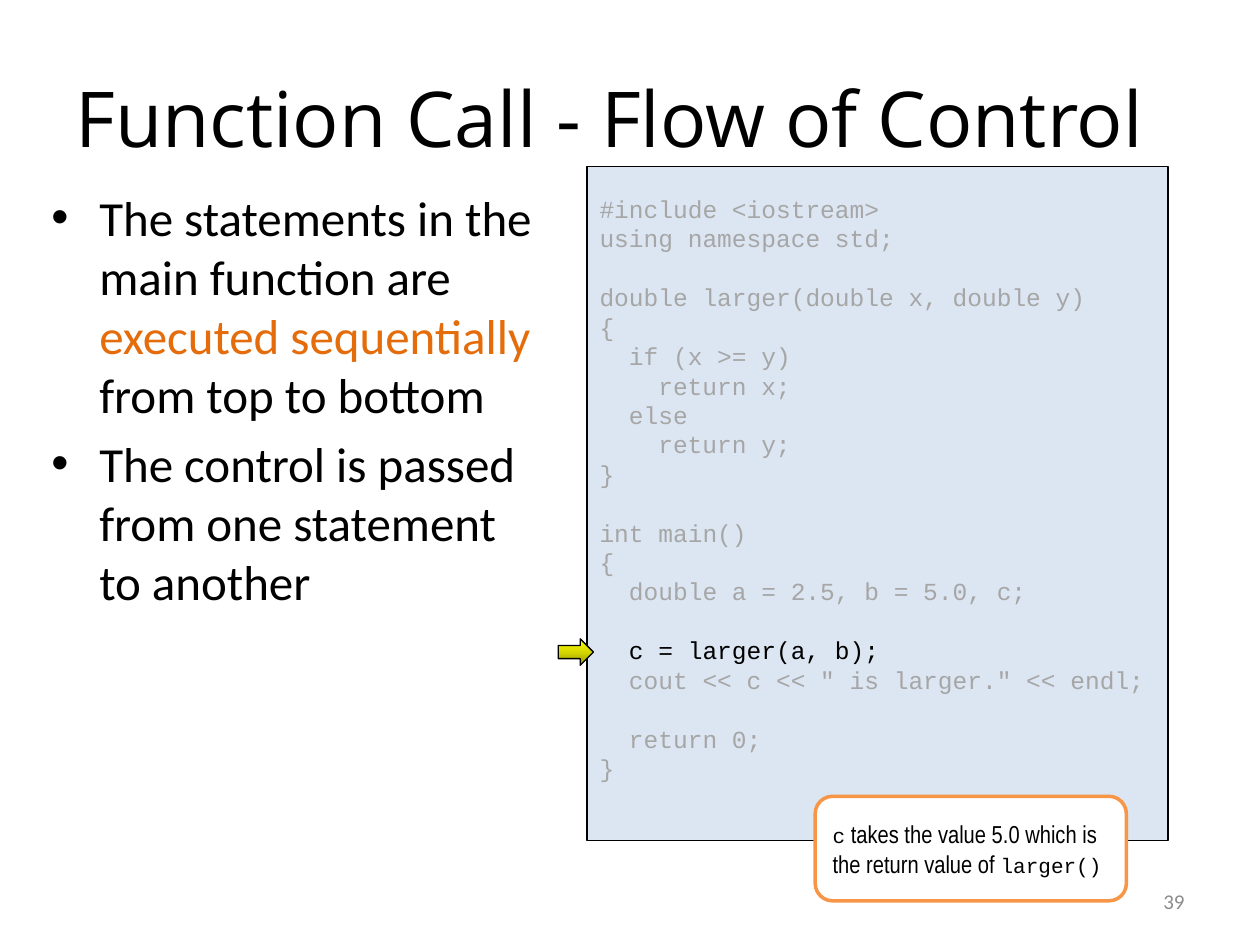
from lxml import etree
from pptx import Presentation, util as u
from pptx.dml.color import RGBColor
from pptx.enum import shapes, text
from pptx.oxml import ns

BLACK = RGBColor(0x00, 0x00, 0x00)
WHITE = RGBColor(0xFF, 0xFF, 0xFF)
GRAY = RGBColor(0xA6, 0xA6, 0xA6)
NUMBER_GRAY = RGBColor(0x8C, 0x8C, 0x8C)
ORANGE = RGBColor(0xE4, 0x6C, 0x0A)
CALLOUT_ORANGE = RGBColor(0xF7, 0x96, 0x46)
PALE_BLUE = RGBColor(0xDC, 0xE6, 0xF2)
OLIVE = RGBColor(0x97, 0x97, 0x00)
MUSTARD = RGBColor(0xD7, 0xD7, 0x00)
YELLOW = RGBColor(0xFF, 0xFF, 0x00)

COLS, ROWS = 100, 75
MIDDLE = text.MSO_ANCHOR.MIDDLE
LEFT, RIGHT = text.PP_ALIGN.LEFT, text.PP_ALIGN.RIGHT

TITLE = dict(name="Open Sans", size=u.Pt(44), color=BLACK)
BODY = dict(name="Calibri", size=u.Pt(28), color=BLACK)
ACCENT = dict(BODY, color=ORANGE)
NUMBER = dict(name="Calibri", size=u.Pt(12), color=NUMBER_GRAY)
CODE = dict(name="Courier New", size=u.Pt(14), color=GRAY)
CURRENT = dict(CODE, color=BLACK)
NOTE = dict(name="Arial Narrow", size=u.Pt(14), color=BLACK)
NOTE_CODE = dict(CURRENT, size=u.Pt(12))

CODE_LINE = u.Pt(16.8)
CODE_CHAR = u.Pt(8.4)

CURRENT_LINE = "c = larger(a, b);"
SOURCE = """#include <iostream>
using namespace std;

double larger(double x, double y)
{
  if (x >= y)
    return x;
  else
    return y;
}

int main()
{
  double a = 2.5, b = 5.0, c;

  c = larger(a, b);
  cout << c << " is larger." << endl;

  return 0;
}"""


def set_all(target, values):
    for key, value in values.items():
        setattr(target, key, value)


class Deck:
    def __init__(self):
        self.prs = Presentation()
        self.prs.slide_width, self.prs.slide_height = u.Inches(10), u.Inches(7.5)
        self.s = self.prs.slides.add_slide(self.prs.slide_layouts[6])

    def box(self, x, y, w, h):
        col, row = self.prs.slide_width / COLS, self.prs.slide_height / ROWS
        return [round(v) for v in (x * col, y * row, w * col, h * row)]

    def text_box(self, at, paragraphs, **frame):
        sp = self.s.shapes.add_textbox(*self.box(*at))
        self.fill_text(sp, paragraphs, **frame)
        return sp

    def shape(self, kind, at, fill, line, width):
        sp = self.s.shapes.add_shape(kind, *self.box(*at))
        sp.shadow.inherit = False
        if isinstance(fill, RGBColor):
            sp.fill.solid()
            sp.fill.fore_color.rgb = fill
        else:
            self.gradient(sp, fill)
        sp.line.color.rgb = line
        sp.line.width = u.Pt(width)
        return sp

    def gradient(self, sp, colors):
        sp.fill.gradient()
        sp.fill.gradient_angle = 90
        stops = sp._element.spPr.find(ns.qn("a:gradFill")).find(ns.qn("a:gsLst"))
        for stop in list(stops):
            stops.remove(stop)
        for i, color in enumerate(colors):
            pos = str(100000 * i // (len(colors) - 1))
            stop = etree.SubElement(stops, ns.qn("a:gs"), pos=pos)
            etree.SubElement(stop, ns.qn("a:srgbClr"), val=str(color))

    def fill_text(self, sp, paragraphs, **frame):
        tf = sp.text_frame
        set_all(tf, dict(word_wrap=True, vertical_anchor=text.MSO_ANCHOR.TOP) | frame)
        for i, (runs, values) in enumerate(paragraphs):
            p = tf.paragraphs[0] if i == 0 else tf.add_paragraph()
            set_all(p, dict(alignment=LEFT) | values)
            for words, style in runs:
                r = p.add_run()
                r.text = words
                r.font.color.rgb = style["color"]
                set_all(r.font, {k: v for k, v in style.items() if k != "color"})

    def bullets(self, at, items):
        sp = self.text_box(at, [(runs, dict(space_before=u.Pt(6))) for runs in items])
        indent = u.Inches(0.38)
        for p in sp.text_frame.paragraphs:
            pPr = p._p.get_or_add_pPr()
            pPr.set("marL", str(indent))
            pPr.set("indent", str(-indent))
            etree.SubElement(pPr, ns.qn("a:buFont"), typeface="Arial")
            etree.SubElement(pPr, ns.qn("a:buChar"), char="•")

    def code(self, at, source, current):
        sp = self.shape(shapes.MSO_SHAPE.RECTANGLE, at, PALE_BLUE, BLACK, 0.75)
        paragraphs, indents, gap = [], [], 0
        for line in source.split("\n"):
            words = line.strip()
            if not words:
                gap += CODE_LINE
                continue
            style = CURRENT if words == current else CODE
            spacing = dict(line_spacing=CODE_LINE, space_before=u.Emu(gap))
            paragraphs.append(([(words, style)], spacing))
            indents.append((len(line) - len(words)) * CODE_CHAR)
            gap = 0
        self.fill_text(sp, paragraphs, margin_top=u.Inches(0.22))
        for p, indent in zip(sp.text_frame.paragraphs, indents):
            p._p.get_or_add_pPr().set("marL", str(indent))

    def arrow(self, at, colors):
        self.shape(shapes.MSO_SHAPE.RIGHT_ARROW, at, colors, BLACK, 0.75)

    def callout(self, at, runs):
        sp = self.shape(shapes.MSO_SHAPE.ROUNDED_RECTANGLE, at, WHITE, CALLOUT_ORANGE, 2)
        self.fill_text(sp, [(runs, {})], vertical_anchor=MIDDLE)


deck = Deck()
deck.text_box((5, 3, 90, 12.5), [([("Function Call - Flow of Control", TITLE)], {})],
              vertical_anchor=MIDDLE)
deck.bullets((3.1, 14.4, 40.6, 53.7), [
    [("The statements in the main function are ", BODY),
     ("executed sequentially ", ACCENT),
     ("from top to bottom", BODY)],
    [("The control is passed from one statement to another", BODY)],
])
deck.code((46.6, 13.2, 46.1, 53.5), SOURCE, CURRENT_LINE)
deck.arrow((44.3, 50.7, 2.8, 2.1), [OLIVE, MUSTARD, YELLOW])
deck.text_box((71.7, 69.5, 23.3, 4), [([("39", NUMBER)], dict(alignment=RIGHT))],
              vertical_anchor=MIDDLE)
deck.callout((64.7, 63.2, 24.7, 8.3), [
    ("c", NOTE_CODE),
    (" takes the value 5.0 which is the return value of ", NOTE),
    ("larger()", NOTE_CODE),
])
deck.prs.save("out.pptx")
